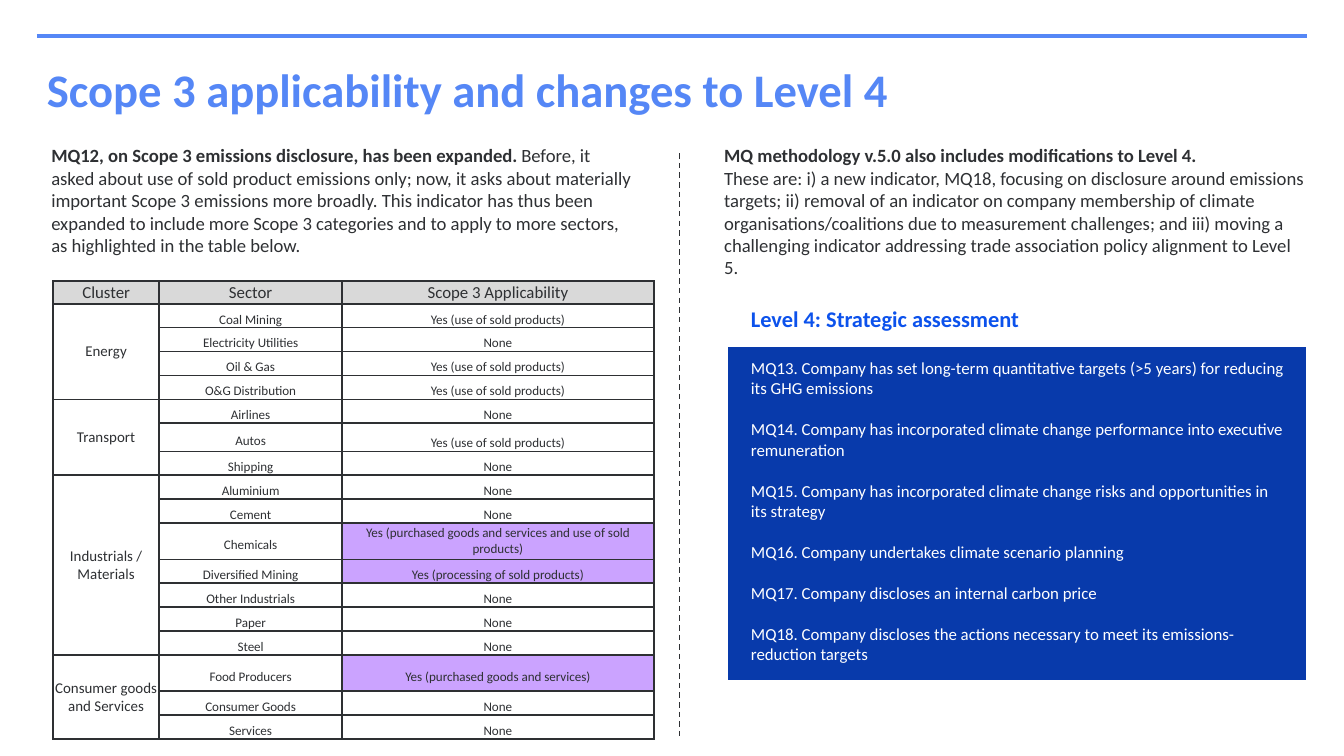
from lxml import etree
from pptx import Presentation, util as u
from pptx.dml.color import RGBColor
from pptx.enum import dml, shapes, text
from pptx.oxml.ns import qn

INK, BLUE, SKY, NAVY = "2E3033", "0C52EC", "5587F6", "083AAB"
WHITE, GREY, LILAC = "FFFFFF", "D9D9D9", "CBA3FF"

deck = Presentation()
deck.slide_width = u.Inches(10)
deck.slide_height = deck.slide_width * 9 // 16
UNIT = deck.slide_width / 100  # the grid: 100 square columns across the slide


def grid(*lengths):
    return [u.Emu(round(length * UNIT)) for length in lengths]


def style(target, size, color, bold=False):
    """Set the font of a paragraph or a run."""
    font = target.font
    font.name, font.size, font.bold = "Calibri", u.Pt(size), bold
    font.color.rgb = RGBColor.from_string(color)


page = deck.slides.add_slide(deck.slide_layouts[5])

# Title
title = page.shapes.title
title.left, title.top, title.width, title.height = grid(2.7, 4.5, 86.9, 9)
frame = title.text_frame
frame.auto_size = text.MSO_AUTO_SIZE.NONE
frame.vertical_anchor = text.MSO_ANCHOR.TOP
frame.margin_left = frame.margin_right = frame.margin_top = frame.margin_bottom = 0
frame.text = " Scope 3 applicability and changes to Level 4"
para = frame.paragraphs[0]
para.alignment = text.PP_ALIGN.LEFT
style(para, 25, SKY, True)

# Rule above the title and dashed divider between the columns
for ends, color, weight, dash in [
    ((2.75, 2.7, 97.25, 2.7), SKY, 2, None),
    ((50.55, 11.4, 50.55, 55), INK, 0.75, dml.MSO_LINE.DASH),
]:
    rule = page.shapes.add_connector(shapes.MSO_CONNECTOR.STRAIGHT, *grid(*ends))
    rule.line.color.rgb = RGBColor.from_string(color)
    rule.line.width = u.Pt(weight)
    rule.line.dash_style = dash
    etree.SubElement(rule._element.spPr, qn("a:effectLst"))

# Introductions: each paragraph is a list of (words, bold)
intros = [
    ((2.83, 10.23, 45.2, 9.5), [[
        ("MQ12, on Scope 3 emissions disclosure, has been expanded. ", True),
        ("Before, it asked about use of sold product emissions only; now, it asks about "
         "materially important Scope 3 emissions more broadly. This indicator has thus been "
         "expanded to include more Scope 3 categories and to apply to more sectors, as "
         "highlighted in the table below.", False)]]),
    ((52.9, 10.23, 45.3, 13.1), [
        [("MQ methodology v.5.0 also includes modifications to Level 4.", True)],
        [("These are: i) a new indicator, MQ18, focusing on disclosure around emissions "
          "targets; ii) removal of an indicator on company membership of climate "
          "organisations/coalitions due to measurement challenges; and iii) moving a "
          "challenging indicator addressing trade association policy alignment to Level 5.",
          False)]]),
]
for area, paragraphs in intros:
    frame = page.shapes.add_textbox(*grid(*area)).text_frame
    frame.word_wrap = True
    for index, spans in enumerate(paragraphs):
        para = frame.paragraphs[0] if index == 0 else frame.add_paragraph()
        for words, bold in spans:
            span = para.add_run()
            span.text = words
            style(span, 10, INK, bold)

# Scope 3 table: cluster -> (sector, applicability, highlighted)
NONE, SOLD = "None", "Yes (use of sold products)"
clusters = {
    "Energy": [("Coal Mining", SOLD, False), ("Electricity Utilities", NONE, False),
               ("Oil & Gas", SOLD, False), ("O&G Distribution", SOLD, False)],
    "Transport": [("Airlines", NONE, False), ("Autos", SOLD, False),
                  ("Shipping", NONE, False)],
    "Industrials / Materials": [
        ("Aluminium", NONE, False), ("Cement", NONE, False),
        ("Chemicals", "Yes (purchased goods and services and use of sold products)", True),
        ("Diversified Mining", "Yes (processing of sold products)", True),
        ("Other Industrials", NONE, False), ("Paper", NONE, False), ("Steel", NONE, False)],
    "Consumer goods and Services": [
        ("Food Producers", "Yes (purchased goods and services)", True),
        ("Consumer Goods", NONE, False), ("Services", NONE, False)],
}
rows = [("Cluster", "Sector", "Scope 3 Applicability", False)]
for cluster, sectors in clusters.items():
    for index, sector in enumerate(sectors):
        rows.append(("" if index else cluster, *sector))
row_heights = {"Sector": 1.7, "Autos": 2.08, "Chemicals": 2.7, "Food Producers": 2.7}

scope = page.shapes.add_table(len(rows), 3, *grid(3.95, 20.9, 44.7, 32.3)).table
scope.first_row = scope.horz_banding = False
for column, width in zip(scope.columns, grid(7.9, 13.6, 23.2)):
    column.width = width
for r, (*labels, highlighted) in enumerate(rows):
    sector = labels[1]
    scope.rows[r].height = grid(row_heights.get(sector, 1.78))[0]
    for c, label in enumerate(labels):
        cell = scope.cell(r, c)
        cell.text = label
        cell.vertical_anchor = text.MSO_ANCHOR.MIDDLE
        cell.margin_left = cell.margin_right = cell.margin_top = cell.margin_bottom = 0
        for side in ("a:lnL", "a:lnR", "a:lnT", "a:lnB"):
            border = etree.SubElement(cell._tc.get_or_add_tcPr(), qn(side), w=str(u.Pt(1)))
            paint = etree.SubElement(border, qn("a:solidFill"))
            etree.SubElement(paint, qn("a:srgbClr"), val=INK)
        fill = GREY if r == 0 else LILAC if highlighted and c == 2 else WHITE
        cell.fill.solid()
        cell.fill.fore_color.rgb = RGBColor.from_string(fill)
        para = cell.text_frame.paragraphs[0]
        para.alignment = text.PP_ALIGN.CENTER
        style(para, 9 if r == 0 else 8 if c == 0 and label else 7, INK)
        if r and c:
            para.space_before = para.space_after = u.Pt(3)
            para.line_spacing = 1.5
            if c == 2 and sector == "Chemicals":
                para.line_spacing = 1.0
            elif c == 2 and sector == "Autos":
                para.line_spacing, para.space_before, para.space_after = u.Pt(15), 0, u.Pt(4)
first = 1
for sectors in clusters.values():
    last = first + len(sectors) - 1
    scope.cell(first, 0).merge(scope.cell(last, 0))
    first = last + 1

# Level 4 panel
indicators = [
    "MQ13. Company has set long-term quantitative targets (>5 years) for reducing its GHG emissions",
    "MQ14. Company has incorporated climate change performance into executive remuneration",
    "MQ15. Company has incorporated climate change risks and opportunities in its strategy",
    "MQ16. Company undertakes climate scenario planning",
    "MQ17. Company discloses an internal carbon price",
    "MQ18. Company discloses the actions necessary to meet its emissions-reduction targets",
]
level = page.shapes.add_table(2, 1, *grid(54.07, 21.87, 43.13, 28.8)).table
level.first_row = level.horz_banding = False
level.rows[0].height, level.rows[1].height = grid(3.9, 24.9)
heading, body = level.cell(0, 0), level.cell(1, 0)
heading.text, body.text = "Level 4: Strategic assessment", "\n".join(indicators)
for cell in (heading, body):
    cell.margin_left, cell.margin_right, cell.margin_top, cell.margin_bottom = grid(1.8, 1.7, 0.9, 0.9)
heading.fill.background()
body.fill.solid()
body.fill.fore_color.rgb = RGBColor.from_string(NAVY)
style(heading.text_frame.paragraphs[0], 12, BLUE, True)
for index, para in enumerate(body.text_frame.paragraphs):
    style(para, 9, WHITE)
    para.space_before = u.Pt(11 if index else 0)

deck.save("out.pptx")
